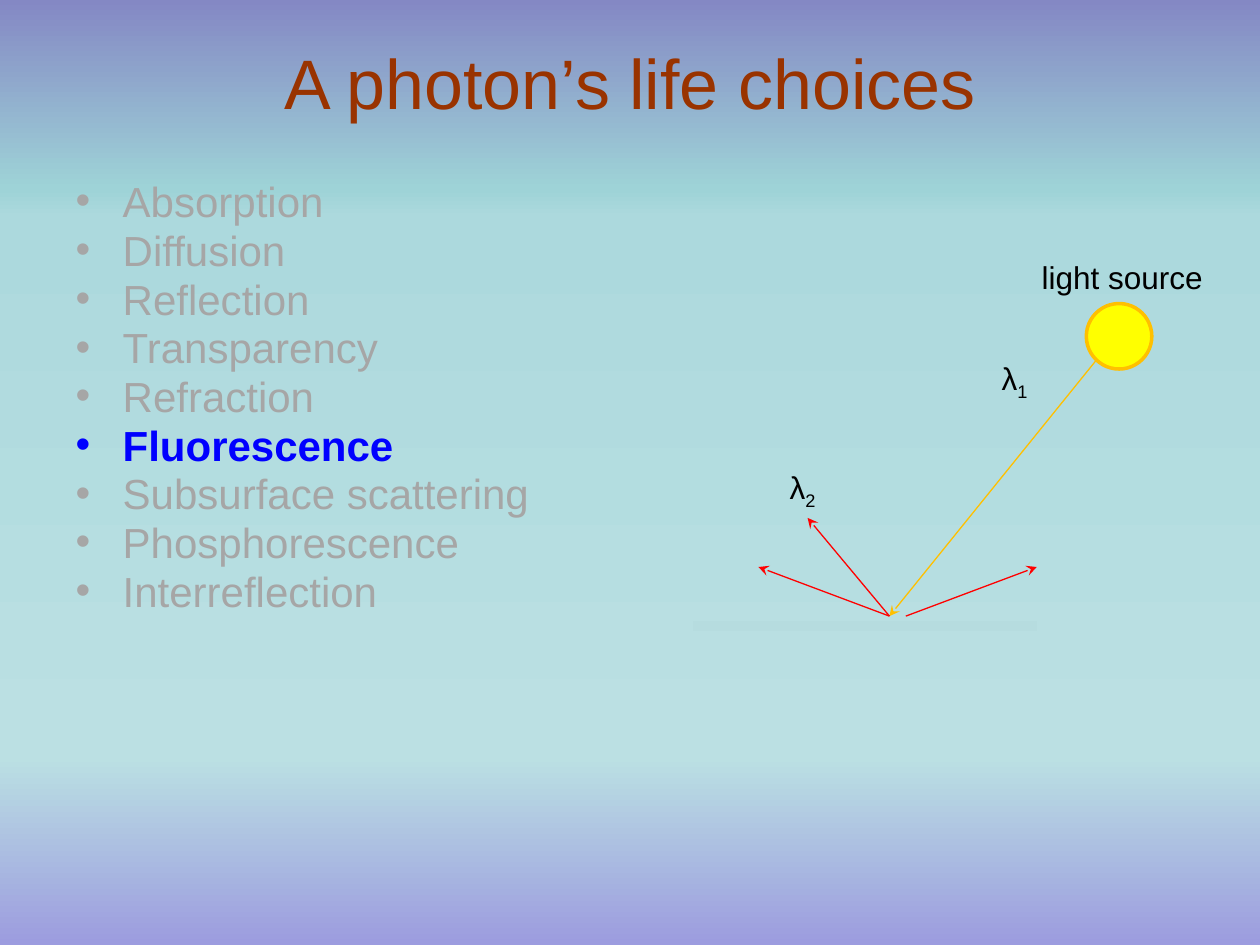
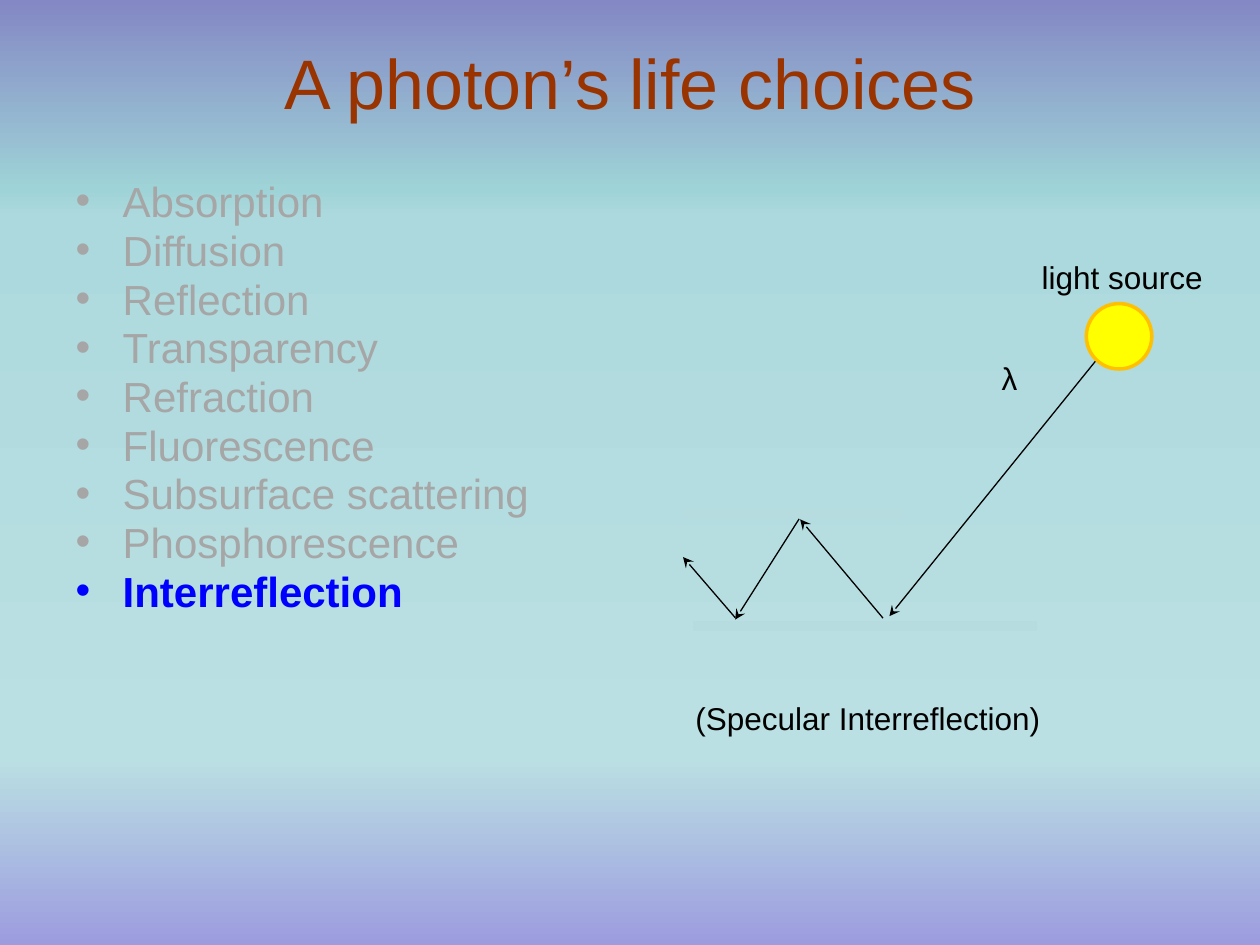
"""Builds two slides on what can happen to a photon that meets a surface."""
from dataclasses import dataclass

from lxml import etree
from pptx import Presentation
from pptx import util as u
from pptx.dml.color import RGBColor
from pptx.enum import shapes, text
from pptx.oxml import ns

FONT = "Arial"
TITLE = "A photon’s life choices"
CHOICES = ("Absorption", "Diffusion", "Reflection", "Transparency", "Refraction",
           "Fluorescence", "Subsurface scattering", "Phosphorescence", "Interreflection")
BACKDROP = ((0, "8488C4"), (20, "9ED3D7"), (23, "ACD9DD"), (80, "BBE0E3"), (100, "9C9CDF"))
RUST, GREY, BLUE, BLACK = "993300", "A6A6A6", "0000FF", "000000"
RED, AMBER, YELLOW, SURFACE = "FF0000", "FFC000", "FFFF00", "B6DCDF"


@dataclass(frozen=True)
class Ray:
    """An arrow or surface line between two points in centimetres."""
    start: tuple[float, float]
    end: tuple[float, float]
    color: str = BLACK
    width: float = 0.75
    arrow: bool = True


@dataclass(frozen=True)
class Label:
    """A caption with an optional subscript, placed in centimetres."""
    words: str
    left: float
    top: float
    width: float
    subscript: str = ""


@dataclass(frozen=True)
class Scene:
    """The highlighted choice with the drawing that explains it."""
    choice: str
    rays: tuple[Ray, ...]
    labels: tuple[Label, ...]


SUN_EDGE, HIT = (22.1, 7.26), (17.93, 12.42)
FLOOR = Ray((13.97, 12.62), (20.9, 12.62), SURFACE, 6, False)
CEILING = Ray((13.77, 10.36), (18.21, 10.36), SURFACE, 6, False)
SOURCE = Label("light source", 20.75, 5.08, 3.81)

SCENES = (
    Scene("Fluorescence",
          (FLOOR,
           Ray(SUN_EDGE, HIT, AMBER),
           Ray(HIT, (16.28, 10.44), RED),
           Ray(HIT, (15.29, 11.43), RED),
           Ray((18.26, 12.42), (20.9, 11.43), RED)),
          (SOURCE, Label("λ", 19.94, 7.11, 1.07, "1"), Label("λ", 15.67, 9.32, 1.07, "2"))),
    Scene("Interreflection",
          (FLOOR, CEILING,
           Ray(SUN_EDGE, HIT),
           Ray((17.8, 12.46), (16.13, 10.47)),
           Ray((16.11, 10.46), (14.82, 12.49)),
           Ray((14.82, 12.45), (13.77, 11.23))),
          (SOURCE, Label("λ", 19.94, 7.11, 1.3),
           Label("(Specular Interreflection)", 13.77, 13.97, 7.75))),
)


def rgb(value: str) -> RGBColor:
    """Return the colour of a hex string."""
    return RGBColor.from_string(value)


def add_element(parent, tag: str, **attributes: str):
    """Append a drawing element with its attributes."""
    return etree.SubElement(parent, ns.qn(tag), attributes)


def place(box, left: float, top: float, width: float, height: float) -> None:
    """Move and size a shape, in centimetres."""
    box.left, box.top, box.width, box.height = map(u.Cm, (left, top, width, height))


def style(para, size: float, color: str, bold: bool = False) -> None:
    """Set the font of a whole paragraph."""
    para.font.name, para.font.size, para.font.bold = FONT, u.Pt(size), bold
    para.font.color.rgb = rgb(color)


def paint_backdrop(master) -> None:
    """Give every slide the shared vertical gradient."""
    fill = master.background.fill
    fill.gradient()
    fill.gradient_angle = 270
    stops = master.element.find(".//" + ns.qn("a:gsLst"))
    for stop in list(stops):
        stops.remove(stop)
    for percent, color in BACKDROP:
        stop = add_element(stops, "a:gs", pos=str(percent * 1000))
        add_element(stop, "a:srgbClr", val=color)


def write_title(box) -> None:
    """Fill in the title placeholder."""
    place(box, 1.27, 0.76, 22.86, 1.78)
    frame = box.text_frame
    frame.text = TITLE
    frame.auto_size = text.MSO_AUTO_SIZE.NONE
    frame.vertical_anchor = text.MSO_ANCHOR.MIDDLE
    frame.paragraphs[0].alignment = text.PP_ALIGN.CENTER
    style(frame.paragraphs[0], 40, RUST)


def write_choices(box, chosen: str) -> None:
    """List all choices and highlight the chosen one."""
    place(box, 1.27, 3.61, 22.86, 9.73)
    frame = box.text_frame
    frame.text = "\n".join(CHOICES)
    frame.auto_size = text.MSO_AUTO_SIZE.NONE
    for index, para in enumerate(frame.paragraphs):
        picked = para.text == chosen
        color = BLUE if picked else GREY
        para.line_spacing = 0.8
        para.space_before = u.Pt(4.8 if index else 0)
        layout = para._p.get_or_add_pPr()
        layout.set("marL", str(u.Cm(0.95)))
        layout.set("indent", str(u.Cm(-0.95)))
        add_element(add_element(layout, "a:buClr"), "a:srgbClr", val=color)
        add_element(layout, "a:buChar", char="•")
        style(para, 24, color, picked)


def draw_ray(page, ray: Ray) -> None:
    """Draw a ray, or a surface when it has no arrowhead."""
    line = page.shapes.add_connector(
        shapes.MSO_CONNECTOR.STRAIGHT, *map(u.Cm, ray.start + ray.end))
    line.line.color.rgb = rgb(ray.color)
    line.line.width = u.Pt(ray.width)
    if ray.arrow:
        add_element(line.line._get_or_add_ln(), "a:tailEnd", type="stealth")
    add_element(line._element.spPr, "a:effectLst")


def draw_sun(page) -> None:
    """Draw the light source."""
    sun = page.shapes.add_shape(
        shapes.MSO_SHAPE.OVAL, *map(u.Cm, (21.9, 6.12, 1.32, 1.32)))
    sun.shadow.inherit = False
    sun.fill.solid()
    sun.fill.fore_color.rgb = rgb(YELLOW)
    sun.line.color.rgb = rgb(AMBER)
    sun.line.width = u.Pt(2)


def write_label(page, label: Label) -> None:
    """Write a caption beside the drawing."""
    box = page.shapes.add_textbox(
        *map(u.Cm, (label.left, label.top, label.width, 1.02)))
    frame = box.text_frame
    frame.word_wrap = True
    frame.auto_size = text.MSO_AUTO_SIZE.SHAPE_TO_FIT_TEXT
    para = frame.paragraphs[0]
    para.add_run().text = label.words
    if label.subscript:
        span = para.add_run()
        span.text = label.subscript
        span._r.get_or_add_rPr().set("baseline", "-25000")
    style(para, 18, BLACK)


def build_page(deck, scene: Scene) -> None:
    """Add one slide for a scene."""
    page = deck.slides.add_slide(deck.slide_layouts[1])
    write_title(page.shapes.title)
    write_choices(page.placeholders[1], scene.choice)
    for ray in scene.rays:
        draw_ray(page, ray)
    draw_sun(page)
    for label in scene.labels:
        write_label(page, label)


def main() -> None:
    """Build and save the deck."""
    deck = Presentation()
    deck.slide_width, deck.slide_height = u.Cm(25.4), u.Cm(19.05)
    paint_backdrop(deck.slide_master)
    for scene in SCENES:
        build_page(deck, scene)
    deck.save("out.pptx")


if __name__ == "__main__":
    main()
